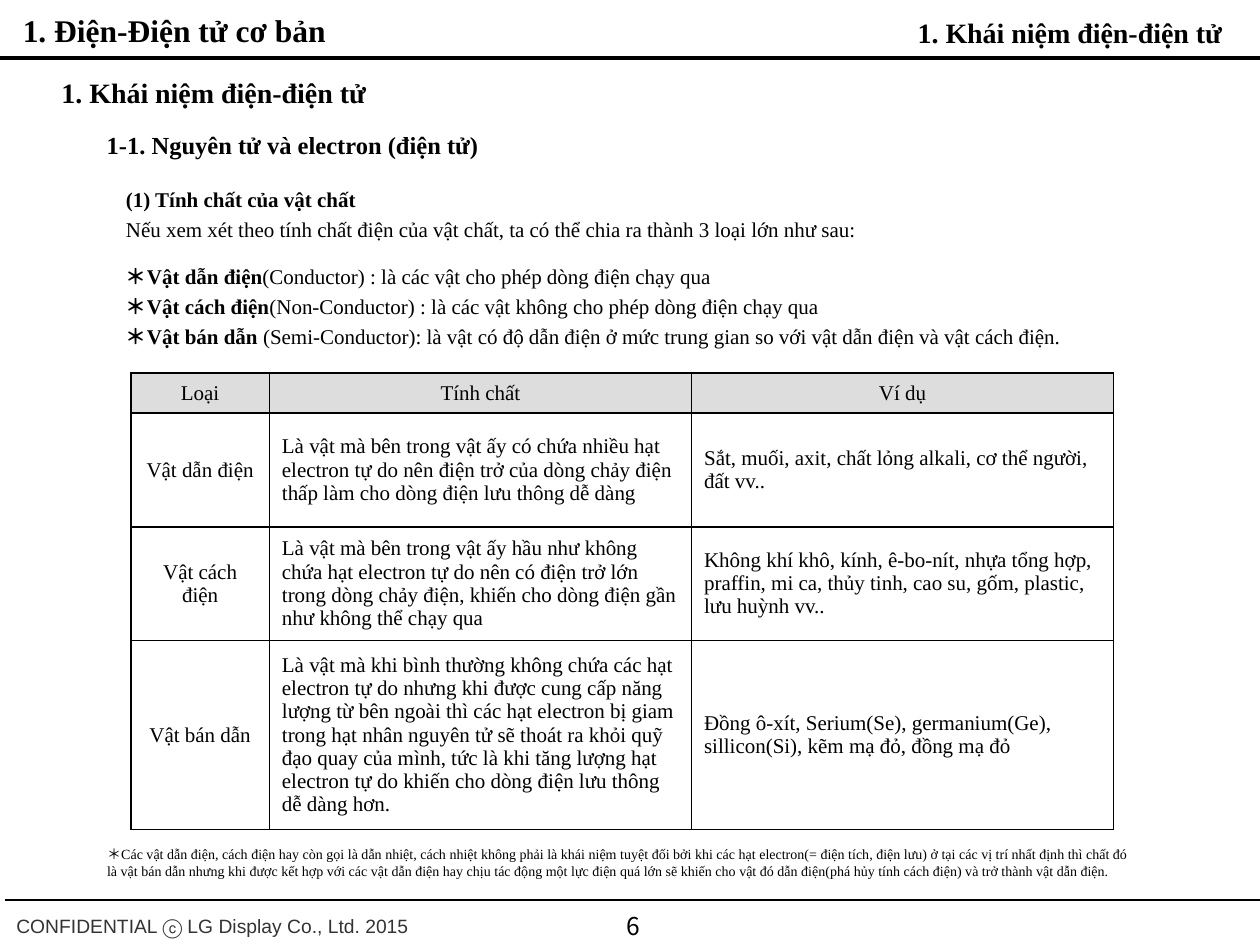
from collections import namedtuple

from lxml import etree
from pptx import Presentation
from pptx import util as u
from pptx.dml.color import RGBColor
from pptx.enum import shapes, text
from pptx.oxml.ns import qn

BLACK = RGBColor(0x00, 0x00, 0x00)
WHITE = RGBColor(0xFF, 0xFF, 0xFF)
GREY = RGBColor(0xDD, 0xDD, 0xDD)
CHARCOAL = RGBColor(0x33, 0x33, 0x33)
SERIF = "Times New Roman"
SANS = "Arial"
KOREAN = "Noto Sans CJK KR"
LEFT, CENTER, RIGHT = text.PP_ALIGN.LEFT, text.PP_ALIGN.CENTER, text.PP_ALIGN.RIGHT

Box = namedtuple("Box", "left top width height")

INTRO = [
    ("(1) Tính chất của vật chất", ""),
    ("", "Nếu xem xét theo tính chất điện của vật chất, ta có thể chia ra thành 3 loại lớn như sau:"),
]
KINDS = [
    ("＊Vật dẫn điện", "(Conductor) : là các vật cho phép dòng điện chạy qua"),
    ("＊Vật cách điện", "(Non-Conductor) : là các vật không cho phép dòng điện chạy qua"),
    ("＊Vật bán dẫn ", "(Semi-Conductor): là vật có độ dẫn điện ở mức trung gian so với vật dẫn điện "
     "và vật cách điện."),
]
COLUMN_WIDTHS = [2.79, 8.51, 8.51]
ROW_HEIGHTS = [0.81, 2.29, 2.29, 3.81]
PROPERTIES = [
    ("Loại", "Tính chất", "Ví dụ"),
    ("Vật dẫn điện",
     "Là vật mà bên trong vật ấy có chứa nhiều hạt electron tự do nên điện trở của dòng "
     "chảy điện thấp làm cho dòng điện lưu thông dễ dàng",
     "Sắt, muối, axit, chất lỏng alkali, cơ thể người, đất vv.."),
    ("Vật cách điện",
     "Là vật mà bên trong vật ấy hầu như không chứa hạt electron tự do nên có điện trở lớn "
     "trong dòng chảy điện, khiến cho dòng điện gần như không thể chạy qua",
     "Không khí khô, kính, ê-bo-nít, nhựa tổng hợp, praffin, mi ca, thủy tinh, cao su, gốm, "
     "plastic, lưu huỳnh vv.."),
    ("Vật bán dẫn",
     "Là vật mà khi bình thường không chứa các hạt electron tự do nhưng khi được cung cấp "
     "năng lượng từ bên ngoài thì các hạt electron bị giam trong hạt nhân nguyên tử sẽ thoát "
     "ra khỏi quỹ đạo quay của mình, tức là khi tăng lượng hạt electron tự do khiến cho dòng "
     "điện lưu thông dễ dàng hơn.",
     "Đồng ô-xít, Serium(Se), germanium(Ge), sillicon(Si), kẽm mạ đỏ, đồng mạ đỏ"),
]
NOTE = (
    "＊Các vật dẫn điện, cách điện hay còn gọi là dẫn nhiệt, cách nhiệt không phải là khái niệm "
    "tuyệt đối bởi khi các hạt electron(= điện tích, điện lưu) ở tại các vị trí nhất định thì "
    "chất đó là vật bán dẫn nhưng khi được kết hợp với các vật dẫn điện hay chịu tác động một "
    "lực điện quá lớn sẽ khiến cho vật đó dẫn điện(phá hủy tính cách điện) và trở thành vật dẫn điện."
)


def add_run(paragraph, words, size, bold=False, face=SERIF, color=BLACK):
    run = paragraph.add_run()
    run.text = words
    run.font.size = u.Pt(size)
    run.font.name = face
    run.font.bold = bold
    run.font.color.rgb = color
    latin = run.font._element.find(qn("a:latin"))
    east_asian = etree.Element(qn("a:ea"), typeface=KOREAN)
    latin.addnext(east_asian)


def add_frame(slide, box, wrap=True, grow=False):
    frame = slide.shapes.add_textbox(*map(u.Cm, box)).text_frame
    frame.word_wrap = wrap
    frame.auto_size = text.MSO_AUTO_SIZE.SHAPE_TO_FIT_TEXT if grow else text.MSO_AUTO_SIZE.NONE
    return frame


def add_label(slide, box, words, size, align=LEFT, wrap=False, grow=True, **style):
    frame = add_frame(slide, box, wrap, grow)
    paragraph = frame.paragraphs[0]
    paragraph.alignment = align
    add_run(paragraph, words, size, **style)
    return frame


def add_rule(slide, left, right, y, weight):
    rule = slide.shapes.add_connector(
        shapes.MSO_CONNECTOR.STRAIGHT, u.Cm(left), u.Cm(y), u.Cm(right), u.Cm(y))
    rule.line.color.rgb = BLACK
    rule.line.width = u.Pt(weight)
    etree.SubElement(rule._element.spPr, qn("a:effectLst"))


def add_header(slide, box):
    add_rule(slide, box.left, box.left + box.width, box.top + box.height, 2.25)
    chapter = add_label(slide, Box(box.left + 0.05, box.top + 0.1, 6.83, 1.02),
                        "1. Điện-Điện tử cơ bản", 18, bold=True)
    chapter.margin_left = u.Cm(0.41)
    add_label(slide, Box(box.left + box.width - 7.24, box.top + 0.18, 6.73, 0.94),
              "1. Khái niệm điện-điện tử", 16, RIGHT, bold=True)


def add_headings(slide, box):
    add_label(slide, Box(box.left, box.top, 6.73, 0.94),
              "1. Khái niệm điện-điện tử", 16, bold=True)
    add_label(slide, Box(box.left + 0.91, box.top + 1.09, 8.05, 0.86),
              "1-1. Nguyên tử và electron (điện tử)", 14, bold=True)


def add_explanation(slide, box):
    frame = add_frame(slide, box)
    for index, (term, meaning) in enumerate(INTRO + KINDS):
        paragraph = frame.add_paragraph() if index else frame.paragraphs[0]
        paragraph.line_spacing = 1.2
        if index == len(INTRO):
            paragraph.space_before = u.Pt(9.5)
        if term:
            add_run(paragraph, term, 12, bold=True)
        if meaning:
            add_run(paragraph, meaning, 12)


def add_borders(cell):
    properties = cell._tc.get_or_add_tcPr()
    for position, side in enumerate(("a:lnL", "a:lnR", "a:lnT", "a:lnB")):
        border = etree.Element(qn(side), w=str(u.Pt(1)))
        fill = etree.SubElement(border, qn("a:solidFill"))
        etree.SubElement(fill, qn("a:srgbClr"), val=str(BLACK))
        properties.insert(position, border)


def add_properties_table(slide, box):
    table = slide.shapes.add_table(
        len(ROW_HEIGHTS), len(COLUMN_WIDTHS), *map(u.Cm, box)).table
    table.first_row = table.horz_banding = False
    for column, width in zip(table.columns, COLUMN_WIDTHS):
        column.width = u.Cm(width)
    for r, (height, entries) in enumerate(zip(ROW_HEIGHTS, PROPERTIES)):
        table.rows[r].height = u.Cm(height)
        for c, entry in enumerate(entries):
            cell = table.cell(r, c)
            cell.vertical_anchor = text.MSO_ANCHOR.MIDDLE
            cell.fill.solid()
            cell.fill.fore_color.rgb = WHITE if r else GREY
            add_borders(cell)
            paragraph = cell.text_frame.paragraphs[0]
            paragraph.alignment = LEFT if r and c else CENTER
            add_run(paragraph, entry, 12)


def add_note(slide, box):
    add_label(slide, box, NOTE, 8, wrap=True)


def add_footer(slide, box):
    add_rule(slide, box.left + 0.1, box.left + box.width, box.top, 0.75)
    notice = add_label(slide, Box(box.left + 0.08, box.top + 0.08, 8.48, 0.76),
                       "CONFIDENTIAL ⓒ LG Display Co., Ltd. 2015", 11, face=SANS, color=CHARCOAL)
    notice.paragraphs[0].line_spacing = 1.2
    add_label(slide, Box(box.left + 9.8, box.top + 0.1, 5.92, 0.81),
              "6", 14, CENTER, wrap=True, grow=False, face=KOREAN)


def main():
    deck = Presentation()
    deck.slide_width, deck.slide_height = u.Cm(25.4), u.Cm(19.05)
    slide = deck.slides.add_slide(deck.slide_layouts[6])
    add_footer(slide, Box(0, 18.14, 25.4, 0.91))
    add_header(slide, Box(0, 0, 25.4, 1.17))
    add_headings(slide, Box(0.99, 1.4, 8.96, 1.95))
    add_explanation(slide, Box(2.29, 3.53, 20.8, 13.61))
    add_properties_table(slide, Box(2.64, 7.52, sum(COLUMN_WIDTHS), sum(ROW_HEIGHTS)))
    add_note(slide, Box(1.91, 16.92, 21.21, 0.94))
    deck.save("out.pptx")


if __name__ == "__main__":
    main()
